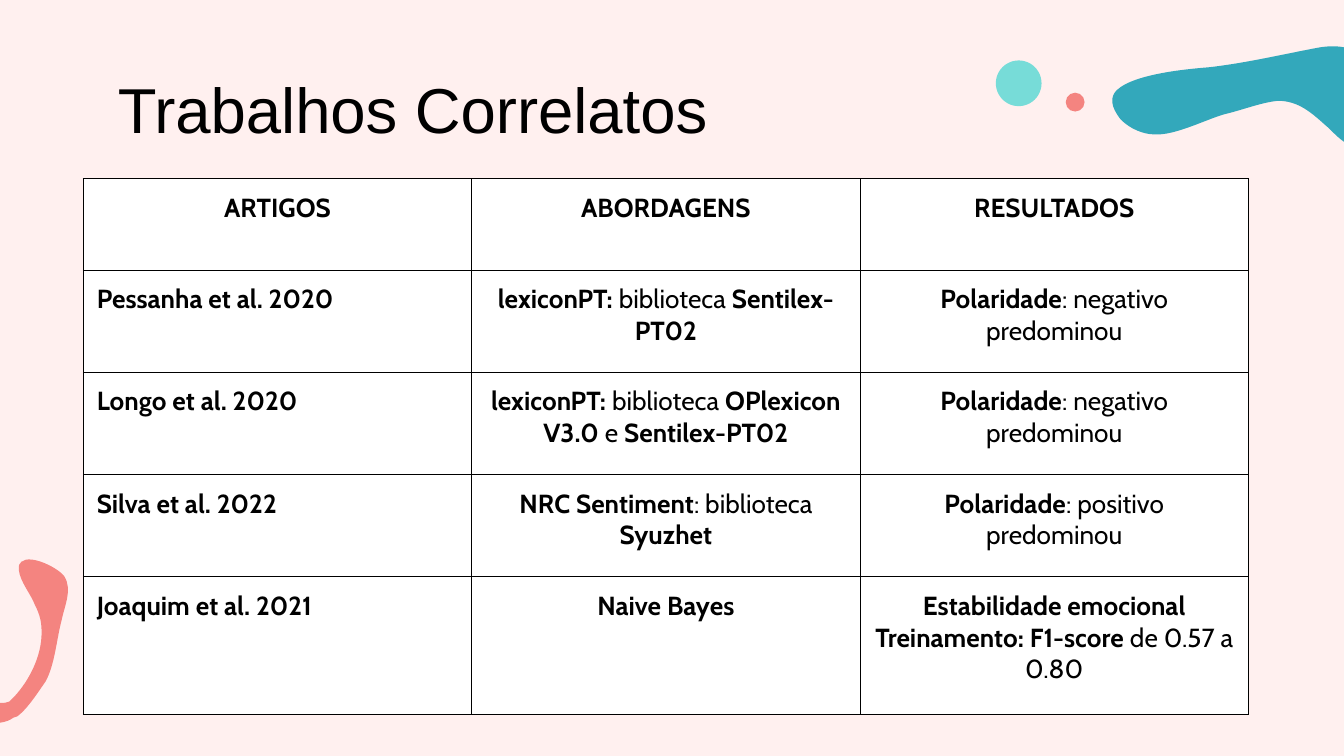
"""Build the "Trabalhos Correlatos" slide."""
from dataclasses import dataclass

from lxml.etree import SubElement
from pptx import Presentation
from pptx.dml.color import RGBColor
from pptx.enum.shapes import MSO_SHAPE
from pptx.enum.text import MSO_ANCHOR, PP_ALIGN
from pptx.oxml.ns import qn
from pptx.util import Inches, Pt


@dataclass(frozen=True)
class Theme:
    """Colours, fonts and type sizes of the slide."""
    background: str = "FFF0EF"
    ink: str = "000000"
    paper: str = "FFFFFF"
    teal: str = "33A8BB"
    aqua: str = "77DCD8"
    coral: str = "F48480"
    title_font: str = "Arial"
    body_font: str = "Cabin"
    title_size: float = 34
    body_size: float = 14
    border: float = 0.75


THEME = Theme()
GRID_COLS, GRID_ROWS = 100, 56.25

WAVE = [
    (83.1, 6.7),
    (84.5, 5.4), (88.9, 5.1), (90, 5),
    (92.6, 4.7), (95.2, 4.1), (97.8, 3.6),
    (101.1, 2.9), (102.6, 4.6), (103.3, 7.8),
    (103.5, 8.2), (103.3, 8.6), (102.9, 9),
    (102.5, 9.3), (102.1, 9.7), (101.8, 9.9),
    (101.6, 10.1), (100.9, 10.7), (100.6, 10.8),
    (100, 10.8), (99, 9.6), (98.6, 9.3),
    (97.6, 8.4), (96.6, 7.5), (95.1, 7.5),
    (93.9, 7.6), (92.4, 8.2), (91.1, 8.5),
    (89.7, 8.9), (87.4, 10.1), (85.9, 10),
    (85.1, 10), (84.1, 9.6), (83.4, 8.9),
    (82.6, 7.9), (82.6, 7.2), (83.1, 6.7),
]
HOOK = [
    (1.3, 53.3),
    (1.2, 53.3), (1.1, 53.4), (1, 53.4),
    (0.5, 53.8), (-0.3, 53.8), (-0.9, 53.9),
    (-2.4, 54), (-3.8, 53.8), (-5.2, 53.2),
    (-6.3, 52.8), (-8.5, 51.9), (-8.9, 50.6),
    (-8.9, 50.6), (-8, 49.9), (-8, 49.9),
    (-8.3, 50.1), (-7.2, 50.9), (-7, 51),
    (-5.9, 51.7), (-4.6, 51.9), (-3.4, 51.9),
    (-2.3, 52), (-1.1, 52.3), (-0.1, 52.3),
    (0.4, 52.3), (0.5, 52.3), (0.7, 52.2),
    (0.8, 52.1), (0.9, 52), (1.1, 51.8),
    (2.2, 50.6), (3.1, 48.8), (3.1, 47.1),
    (3.1, 46.3), (3, 45.8), (2.6, 45),
    (2.3, 44.2), (1.5, 43.3), (1.4, 42.4),
    (1.4, 42.1), (1.4, 41.9), (1.6, 41.8),
    (2.3, 41.2), (4.4, 42.3), (4.8, 42.9),
    (5.4, 43.9), (4.8, 45.1), (4.6, 46.1),
    (4.2, 47.6), (4.1, 49.4), (3.4, 50.7),
    (2.9, 51.4), (2.1, 52.7), (1.3, 53.3),
]

ROW_HEIGHTS = (6.8, 7.6, 7.6, 7.6, 10.3)
ARTICLES = [
    ("**ARTIGOS**", "**ABORDAGENS**", "**RESULTADOS**"),
    ("**Pessanha et al. 2020**",
     "**lexiconPT: **biblioteca **Sentilex-PT02**",
     "**Polaridade**: negativo predominou"),
    ("**Longo et al. 2020**",
     "**lexiconPT: **biblioteca **OPlexicon V3.0 **e **Sentilex-PT02**",
     "**Polaridade**: negativo predominou"),
    ("**Silva et al. 2022**",
     "**NRC Sentiment**: biblioteca **Syuzhet**",
     "**Polaridade**: positivo\npredominou"),
    ("**Joaquim et al. 2021**",
     "**Naive Bayes**",
     "**Estabilidade emocional**\n**Treinamento: F1-score** de 0.57 a 0.80"),
]


def grid(n):
    """Turn a number of grid units into a length."""
    return Inches(n / 10)


def paint(sp, color):
    """Give a shape a flat fill with no outline or shadow."""
    sp.shadow.inherit = False
    sp.fill.solid()
    sp.fill.fore_color.rgb = RGBColor.from_string(color)
    sp.line.fill.background()


def add_blob(s, points, color):
    """Draw a closed outline of cubic curves, three points to a curve."""
    points = [(grid(x), grid(y)) for x, y in points]
    builder = s.shapes.build_freeform(*points[0])
    builder.add_line_segments(points[1:], close=True)
    sp = builder.convert_to_shape()
    outline = sp._element.find(".//" + qn("a:path"))
    lines = outline.findall(qn("a:lnTo"))
    for first, *others in zip(lines[::3], lines[1::3], lines[2::3]):
        first.tag = qn("a:cubicBezTo")
        curve = SubElement(outline, qn("a:cubicBezTo"))
        outline.replace(first, curve)
        for line in (first, *others):
            curve.append(line[0])
        for line in others:
            outline.remove(line)
    paint(sp, color)


def add_dot(s, left, top, size, color):
    """Draw a filled circle."""
    sp = s.shapes.add_shape(MSO_SHAPE.OVAL, *map(grid, (left, top, size, size)))
    paint(sp, color)


def write(tf, text, *, font, size, color=THEME.ink, align=PP_ALIGN.LEFT):
    """Fill a text frame, one paragraph a line, with ** around bold runs."""
    for i, line in enumerate(text.split("\n")):
        p = tf.add_paragraph() if i else tf.paragraphs[0]
        p.alignment = align
        for j, part in enumerate(line.split("**")):
            if part:
                r = p.add_run()
                r.text = part
                r.font.name = font
                r.font.size = Pt(size)
                r.font.bold = j % 2 == 1
                r.font.color.rgb = RGBColor.from_string(color)


def add_title(s, text):
    """Place the slide title."""
    sp = s.shapes.add_textbox(*map(grid, (7.8, 3.8, 84.4, 6.3)))
    tf = sp.text_frame
    tf.word_wrap = True
    tf.vertical_anchor = MSO_ANCHOR.TOP
    tf.margin_left = tf.margin_right = tf.margin_bottom = grid(1)
    tf.margin_top = grid(1.4)
    write(tf, text, font=THEME.title_font, size=THEME.title_size)


def style_cell(cell):
    """Give a cell its margins, borders and fill."""
    cell.margin_left = cell.margin_right = grid(1)
    cell.margin_top = cell.margin_bottom = grid(1)
    cell.vertical_anchor = MSO_ANCHOR.TOP
    tc_pr = cell._tc.get_or_add_tcPr()
    for side in "LRTB":
        ln = SubElement(tc_pr, qn(f"a:ln{side}"), w=str(Pt(THEME.border)))
        fill = SubElement(ln, qn("a:solidFill"))
        SubElement(fill, qn("a:srgbClr"), val=THEME.ink)
    cell.fill.solid()
    cell.fill.fore_color.rgb = RGBColor.from_string(THEME.paper)


def add_articles(s, left, top, col_width):
    """Place the table of related articles."""
    n_rows, n_cols = len(ARTICLES), len(ARTICLES[0])
    size = (col_width * n_cols, sum(ROW_HEIGHTS))
    table = s.shapes.add_table(n_rows, n_cols, *map(grid, (left, top, *size))).table
    table.first_row = table.horz_banding = False
    for col in table.columns:
        col.width = grid(col_width)
    for i, (height, texts) in enumerate(zip(ROW_HEIGHTS, ARTICLES)):
        table.rows[i].height = grid(height)
        for j, text in enumerate(texts):
            cell = table.cell(i, j)
            style_cell(cell)
            align = PP_ALIGN.LEFT if i and not j else PP_ALIGN.CENTER
            write(cell.text_frame, text, font=THEME.body_font,
                  size=THEME.body_size, align=align)


def main():
    """Build and save the slide."""
    prs = Presentation()
    prs.slide_width, prs.slide_height = grid(GRID_COLS), grid(GRID_ROWS)
    s = prs.slides.add_slide(prs.slide_layouts[6])
    s.background.fill.solid()
    s.background.fill.fore_color.rgb = RGBColor.from_string(THEME.background)
    add_blob(s, WAVE, THEME.teal)
    add_dot(s, 74.1, 4.5, 3.4, THEME.aqua)
    add_dot(s, 79.3, 6.9, 1.4, THEME.coral)
    add_blob(s, HOOK, THEME.coral)
    add_title(s, "Trabalhos Correlatos")
    add_articles(s, 6.2, 13.3, 28.9)
    prs.save("out.pptx")


if __name__ == "__main__":
    main()
